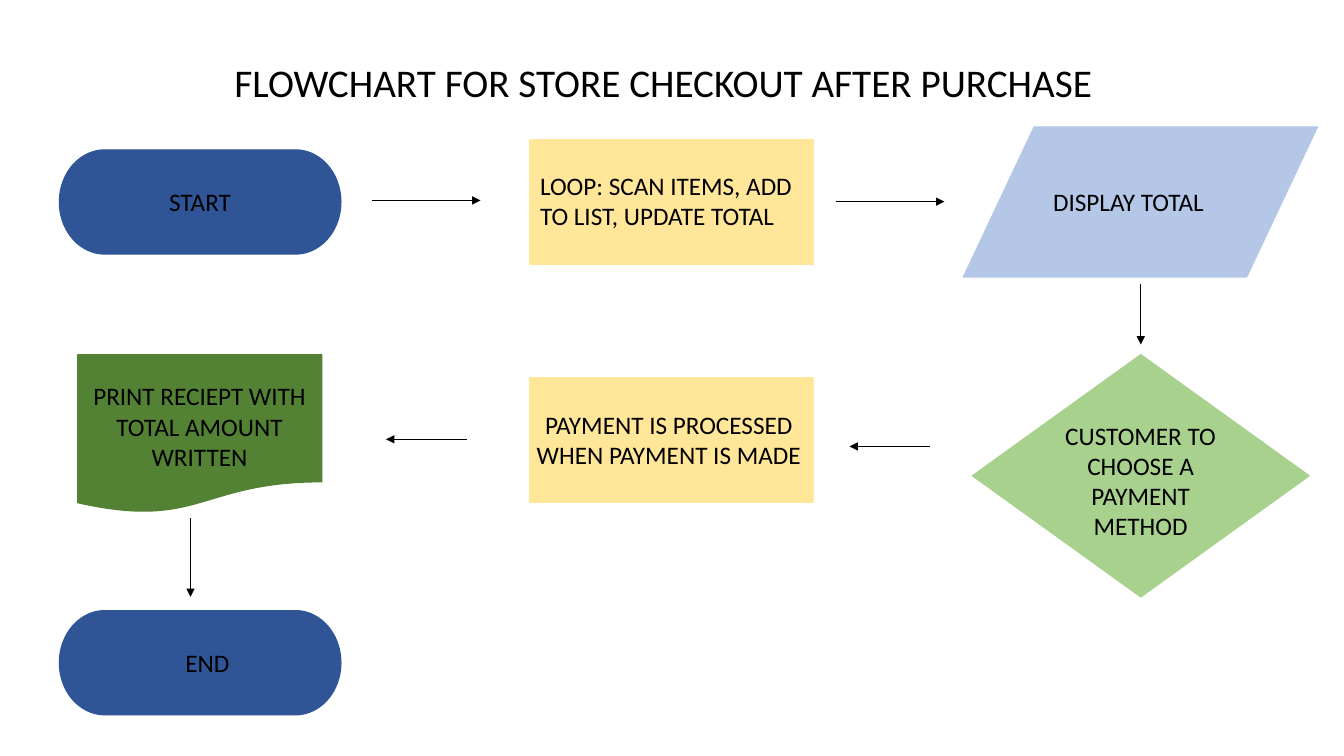
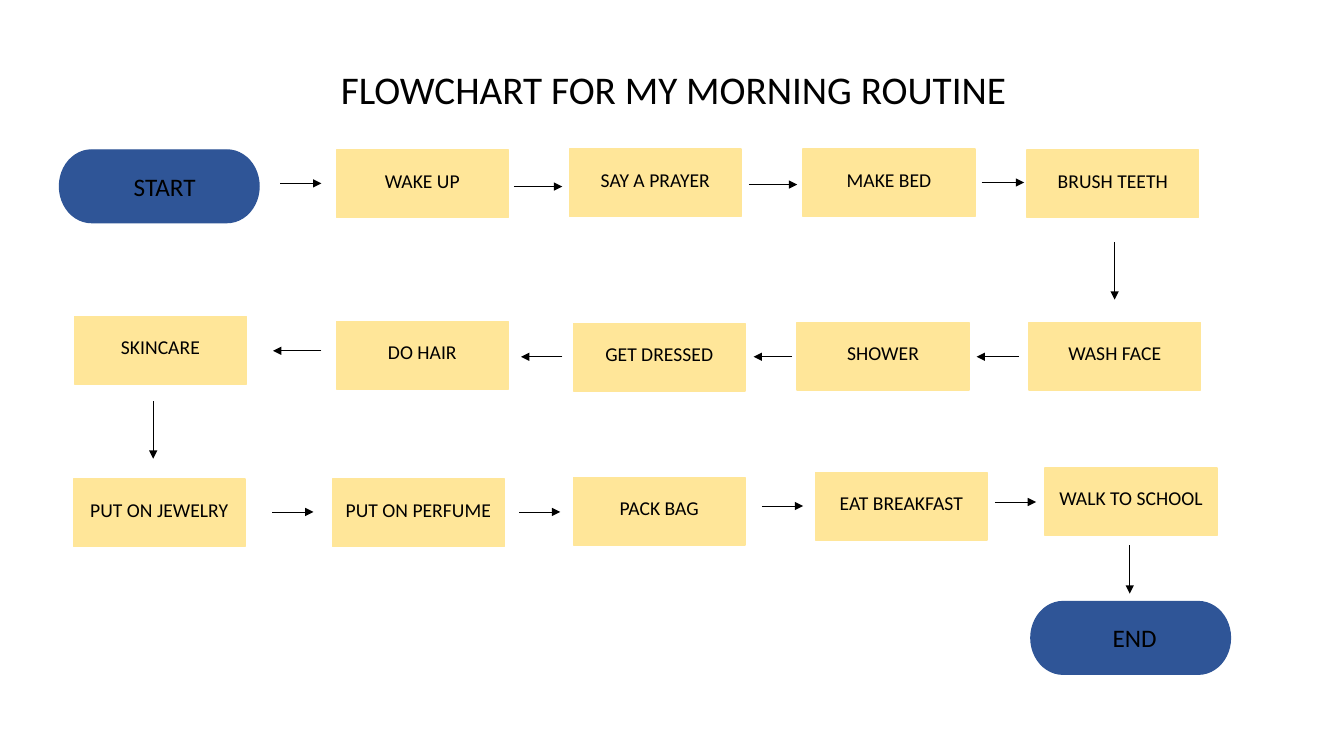
from pptx import Presentation
from pptx import util as u
from pptx.dml.color import RGBColor
from pptx.enum import shapes, text
from pptx.oxml.ns import qn
from lxml import etree

LEFT, CENTER = text.PP_ALIGN.LEFT, text.PP_ALIGN.CENTER
SHAPE = shapes.MSO_SHAPE


def rgb(value):
    return RGBColor.from_string(value)


def write(tf, content, size=18, align=LEFT, font="Calibri", color="000000", wrap=True):
    tf.word_wrap = wrap
    p = tf.paragraphs[0]
    p.alignment = align
    r = p.add_run()
    r.text = content
    r.font.size = u.Pt(size)
    r.font.name = font
    r.font.color.rgb = rgb(color)


class Flowchart:
    BLUE, YELLOW, SKY = "2F5597", "FFE699", "B4C7E7"
    LIME, GREEN, BLACK = "A9D18E", "548235", "000000"
    STEP_W, STEP_H = 4.33, 1.7

    def __init__(self):
        self.prs = Presentation()
        self.prs.slide_width, self.prs.slide_height = u.Cm(33.87), u.Cm(19.05)
        self.s = None

    def slide(self):
        self.s = self.prs.slides.add_slide(self.prs.slide_layouts[6])

    def node(self, kind, x, y, w, h, color):
        sp = self.s.shapes.add_shape(kind, u.Cm(x), u.Cm(y), u.Cm(w), u.Cm(h))
        sp.shadow.inherit = False
        sp.fill.solid()
        sp.fill.fore_color.rgb = rgb(color)
        sp.line.color.rgb = rgb(color)
        sp.line.width = u.Pt(1)
        return sp

    def label(self, content, x, y, w, h=1.02, **style):
        sp = self.s.shapes.add_textbox(u.Cm(x), u.Cm(y), u.Cm(w), u.Cm(h))
        tf = sp.text_frame
        write(tf, content, **style)
        tf.auto_size = text.MSO_AUTO_SIZE.SHAPE_TO_FIT_TEXT

    def title(self, content, x, y, w, align=LEFT):
        self.label(content, x, y, w, 1.45, size=28, align=align, wrap=False)

    def terminator(self, content, x, y, w, h, indent):
        self.node(SHAPE.FLOWCHART_TERMINATOR, x, y, w, h, self.BLUE)
        self.label(content, x + indent, y + h / 2 - 0.51, 3.33)

    def step(self, content, x, y):
        sp = self.node(SHAPE.RECTANGLE, x, y, self.STEP_W, self.STEP_H, self.YELLOW)
        tf = sp.text_frame
        tf.vertical_anchor = text.MSO_ANCHOR.MIDDLE
        tf.margin_bottom = u.Cm(0.3)
        write(tf, content, size=14, align=CENTER)

    def arrow(self, x, y, dx=0, dy=0):
        c = self.s.shapes.add_connector(
            shapes.MSO_CONNECTOR.STRAIGHT, u.Cm(x), u.Cm(y), u.Cm(x + dx), u.Cm(y + dy))
        c.line.color.rgb = rgb(self.BLACK)
        c.line.width = u.Pt(0.5)
        etree.SubElement(c.line._get_or_add_ln(), qn("a:tailEnd"), type="triangle")
        etree.SubElement(c._element.spPr, qn("a:effectLst"))


def checkout(chart):
    chart.slide()
    chart.title("FLOWCHART FOR STORE CHECKOUT AFTER PURCHASE", 5.66, 1.35, 22.35)
    for content, y, indent in (("START", 3.78, 2.51), ("END", 15.39, 2.92)):
        chart.terminator(content, 1.5, y, 7.09, 2.62, indent)
    for kind, x, y, w, h, color in (
        (SHAPE.RECTANGLE, 13.36, 3.53, 7.14, 3.12, chart.YELLOW),
        (SHAPE.FLOWCHART_DATA, 24.28, 3.2, 8.92, 3.78, chart.SKY),
        (SHAPE.FLOWCHART_DECISION, 24.51, 8.94, 8.48, 6.1, chart.LIME),
        (SHAPE.RECTANGLE, 13.36, 9.53, 7.14, 3.12, chart.YELLOW),
        (SHAPE.FLOWCHART_DOCUMENT, 1.96, 8.94, 6.15, 3.99, chart.GREEN),
    ):
        chart.node(kind, x, y, w, h, color)
    for content, x, y, w, h, align in (
        ("LOOP: SCAN ITEMS, ADD TO LIST, UPDATE TOTAL", 13.36, 4.17, 7.14, 1.8, LEFT),
        ("DISPLAY TOTAL", 26.29, 4.57, 7.14, 1.02, LEFT),
        ("CUSTOMER TO CHOOSE A PAYMENT METHOD", 26.37, 10.46, 4.75, 3.33, CENTER),
        ("PAYMENT IS PROCESSED WHEN PAYMENT IS MADE", 12.93, 10.19, 7.85, 1.8, CENTER),
        ("PRINT RECIEPT WITH TOTAL AMOUNT WRITTEN", 1.73, 9.47, 6.6, 2.57, CENTER),
    ):
        chart.label(content, x, y, w, h, align=align)
    for x, y, dx in ((9.37, 5.05, 2.74), (21.06, 5.08, 2.74),
                     (23.44, 11.25, -2.03), (11.76, 11.07, -2.03)):
        chart.arrow(x, y, dx=dx)
    for x, y, dy in ((28.75, 7.16, 1.52), (4.8, 13.06, 1.98)):
        chart.arrow(x, y, dy=dy)


def morning(chart):
    chart.slide()
    chart.title("FLOWCHART FOR MY MORNING ROUTINE", 8.23, 1.52, 17.48, align=CENTER)
    for content, x, y, indent in (("START", 1.5, 3.78, 1.62), ("END", 25.98, 15.16, 1.81)):
        chart.terminator(content, x, y, 5.03, 1.83, indent)
    for content, x, y in (
        ("WAKE UP", 8.48, 3.78),
        ("SAY A PRAYER", 14.35, 3.76),
        ("MAKE BED", 20.24, 3.76),
        ("BRUSH TEETH", 25.88, 3.78),
        ("WASH FACE", 25.93, 8.13),
        ("SHOWER", 20.09, 8.13),
        ("GET DRESSED", 14.45, 8.15),
        ("DO HAIR", 8.48, 8.1),
        ("SKINCARE", 1.88, 7.98),
        ("PUT ON JEWELRY", 1.85, 12.07),
        ("PUT ON PERFUME", 8.38, 12.07),
        ("PACK BAG", 14.45, 12.04),
        ("EAT BREAKFAST", 20.55, 11.91),
        ("WALK TO SCHOOL", 26.34, 11.79),
    ):
        chart.step(content, x, y)
    for x, y, dx in (
        (7.06, 4.62, 1.04), (12.95, 4.7, 1.22), (18.87, 4.65, 1.22), (24.74, 4.6, 1.07),
        (25.68, 8.99, -1.07), (19.96, 8.99, -0.97), (14.17, 8.99, -1.04), (8.1, 8.84, -1.22),
        (6.86, 12.9, 1.04), (13.08, 12.9, 1.04), (19.2, 12.75, 1.04), (25.07, 12.65, 1.04),
    ):
        chart.arrow(x, y, dx=dx)
    for x, y, dy in ((28.09, 6.1, 1.45), (3.86, 10.11, 1.45), (28.47, 13.74, 1.22)):
        chart.arrow(x, y, dy=dy)


def main():
    chart = Flowchart()
    checkout(chart)
    morning(chart)
    chart.prs.save("out.pptx")


if __name__ == "__main__":
    main()
